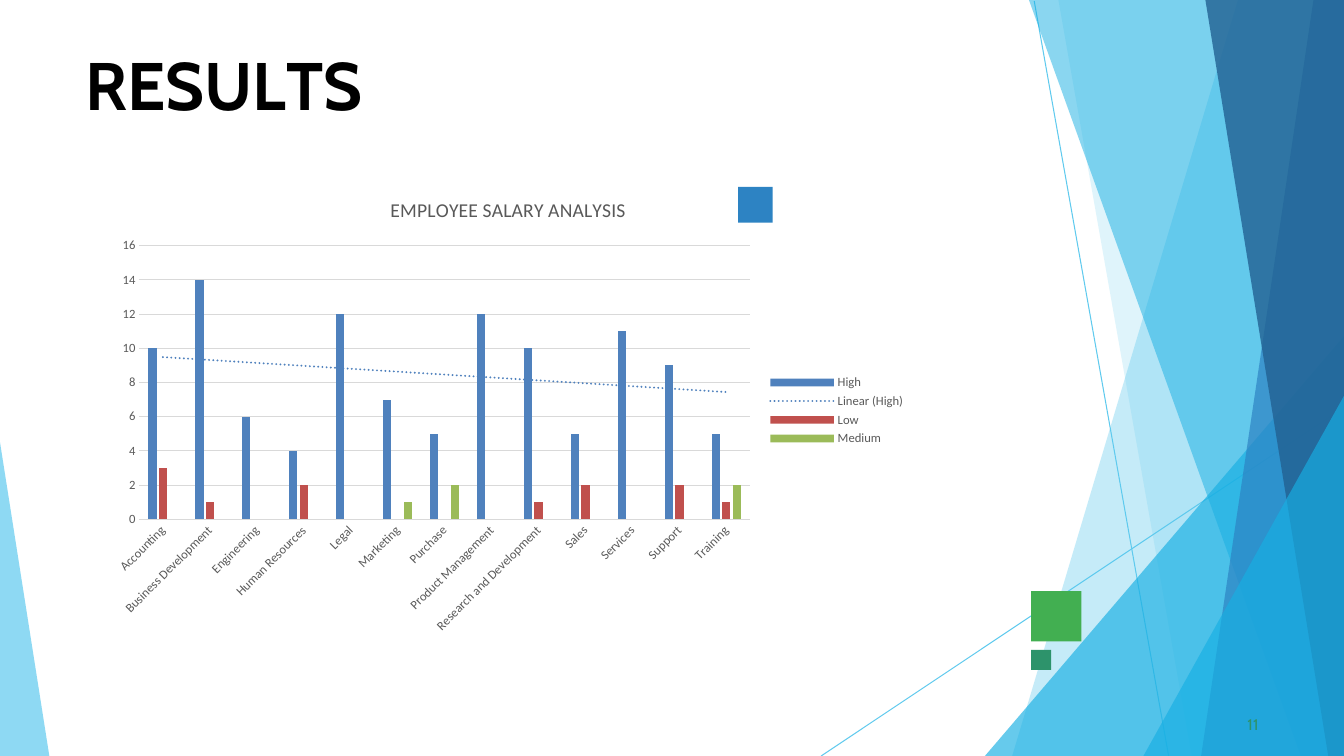
from dataclasses import dataclass

from lxml.etree import SubElement
from pptx import Presentation
from pptx.chart.data import CategoryChartData
from pptx.dml.color import RGBColor
from pptx.enum.chart import XL_CHART_TYPE as ChartType, XL_LEGEND_POSITION as LegendPosition
from pptx.enum.chart import XL_TICK_MARK as TickMark
from pptx.enum.shapes import MSO_CONNECTOR as Connector, MSO_SHAPE as Preset
from pptx.oxml import parse_xml
from pptx.oxml.ns import nsdecls, qn
from pptx.util import Pt

PX = 9525
WIDTH, HEIGHT = 1280, 720


@dataclass(frozen=True)
class Theme:
    sky: str = "5FCAEE"
    cyan: str = "17AFE3"
    blue: str = "2D83C3"
    navy: str = "226192"
    green: str = "42AF51"
    teal: str = "2D936B"
    black: str = "000000"
    label: str = "595959"
    grid: str = "D9D9D9"
    heading_font: str = "Cabin"
    chart_font: str = "Calibri"
    heading_size: int = 48
    page_size: int = 11
    chart_title_size: int = 14
    label_size: int = 9


THEME = Theme()


@dataclass(frozen=True)
class Ray:
    start: tuple[int, int]
    end: tuple[int, int]


@dataclass(frozen=True)
class Facet:
    points: tuple[tuple[int, int], ...]
    color: str
    opacity: int


@dataclass(frozen=True)
class Block:
    box: tuple[int, int, int, int]
    color: str


@dataclass(frozen=True)
class Caption:
    box: tuple[int, int, int, int]
    runs: tuple[tuple[str, int], ...]
    size: int
    color: str
    bold: bool
    indent: int
    space_before: float


@dataclass(frozen=True)
class Level:
    name: str
    color: str
    counts: tuple[int | None, ...]


def right_band(top: int, bottom: int, color: str, opacity: int) -> Facet:
    """Span the full slide height from a slanted left edge to the right side."""
    return Facet(((WIDTH, 0), (top, 0), (bottom, HEIGHT), (WIDTH, HEIGHT)), color, opacity)


def right_corner(top: int, left: int) -> Facet:
    """Fill the bottom right corner below a diagonal."""
    return Facet(((WIDTH, top), (left, HEIGHT), (WIDTH, HEIGHT)), THEME.cyan, 66)


RAYS = (Ray((985, 1), (1113, HEIGHT)), Ray((WIDTH, 388), (782, HEIGHT)))
FACETS = (
    right_band(1179, 964, THEME.sky, 36),
    right_band(1008, 1135, THEME.sky, 20),
    right_corner(320, 938),
    right_band(980, 1239, THEME.cyan, 50),
    right_band(1251, 1144, THEME.blue, 70),
    right_band(1148, 1265, THEME.navy, 80),
    right_corner(377, 1089),
    Facet(((0, 421), (0, HEIGHT), (47, HEIGHT)), THEME.sky, 70),
)
BLOCKS = (
    Block((982, 563, 48, 48), THEME.green),
    Block((703, 178, 33, 34), THEME.blue),
    Block((982, 619, 19, 19), THEME.teal),
)
CAPTIONS = (
    Caption((80, 40, 297, 80),
            (("R", 0), ("E", -40), ("S", 10), ("U", -30), ("L", -400), ("TS", 0)),
            THEME.heading_size, THEME.black, True, 1, 1.1),
    Caption((1184, 680, 24, 20), (("11", 10),), THEME.page_size, THEME.teal, False, 4, 0.6),
)
DEPARTMENTS = (
    "Accounting", "Business Development", "Engineering", "Human Resources", "Legal",
    "Marketing", "Purchase", "Product Management", "Research and Development", "Sales",
    "Services", "Support", "Training",
)
LEVELS = (
    Level("High", "4F81BD", (10, 14, 6, 4, 12, 7, 5, 12, 10, 5, 11, 9, 5)),
    Level("Low", "C0504D",
          (3, 1, None, 2, None, None, None, None, 1, 2, None, 2, 1)),
    Level("Medium", "9BBB59",
          (None, None, None, None, None, 1, 2, None, None, None, None, None, 2)),
)


def rgb(color: str) -> RGBColor:
    """Convert a hex colour."""
    return RGBColor.from_string(color)


def emu(lengths: tuple[int, ...]) -> list[int]:
    """Scale px to EMU."""
    return [length * PX for length in lengths]


def paint(shape, color: str, opacity: int = 100) -> None:
    """Give a shape a flat fill with no outline or shadow."""
    shape.fill.solid()
    shape.fill.fore_color.rgb = rgb(color)
    shape.line.fill.background()
    shape.shadow.inherit = False
    if opacity < 100:
        tint = shape.fill._xPr.find(qn("a:solidFill"))[0]
        SubElement(tint, qn("a:alpha")).set("val", str(opacity * 1000))


def style_font(font, size: int, color: str, family: str, bold: bool = False) -> None:
    """Apply size, family, weight and colour."""
    for name, value in {"size": Pt(size), "name": family, "bold": bold}.items():
        setattr(font, name, value)
    font.color.rgb = rgb(color)


def draw_ray(shapes, ray: Ray) -> None:
    """Draw a thin background line."""
    line = shapes.add_connector(Connector.STRAIGHT, *emu(ray.start + ray.end))
    line.line.color.rgb = rgb(THEME.sky)
    line.line.width = Pt(0.75)
    SubElement(line._element.spPr, qn("a:effectLst"))


def draw_facet(shapes, facet: Facet) -> None:
    """Draw a translucent background polygon."""
    outline = shapes.build_freeform(*facet.points[0], scale=PX)
    outline.add_line_segments(facet.points[1:], close=True)
    paint(outline.convert_to_shape(), facet.color, facet.opacity)


def draw_caption(shapes, caption: Caption) -> None:
    """Write one line of text with its letter spacing."""
    frame = shapes.add_textbox(*emu(caption.box)).text_frame
    margins = {"margin_left": 0, "margin_top": PX, "margin_right": 0, "margin_bottom": 0}
    for name, value in {**margins, "word_wrap": True}.items():
        setattr(frame, name, value)
    paragraph = frame.paragraphs[0]
    paragraph.space_before = Pt(caption.space_before)
    paragraph._p.get_or_add_pPr().set("marL", str(caption.indent * PX))
    for text, spacing in caption.runs:
        run = paragraph.add_run()
        run.text = text
        style_font(run.font, caption.size, caption.color, THEME.heading_font, caption.bold)
        run._r.get_or_add_rPr().set("spc", str(spacing))


def add_trend(series, color: str) -> None:
    """Add a dotted linear trend line to a series."""
    trend = parse_xml(
        f'<c:trendline {nsdecls("c", "a")}><c:spPr><a:ln w="19050" cap="rnd"><a:solidFill>'
        f'<a:srgbClr val="{color}"/></a:solidFill><a:prstDash val="sysDot"/></a:ln></c:spPr>'
        '<c:trendlineType val="linear"/><c:dispRSqr val="0"/><c:dispEq val="0"/></c:trendline>')
    series._element.find(qn("c:cat")).addprevious(trend)


def draw_salaries(shapes) -> None:
    """Draw the clustered columns of salary levels by department."""
    data = CategoryChartData()
    data.categories = DEPARTMENTS
    for level in LEVELS:
        data.add_series(level.name, level.counts)
    box = emu((96, 170, 776, 442))
    chart = shapes.add_chart(ChartType.COLUMN_CLUSTERED, *box, data).chart
    style_font(chart.font, THEME.label_size, THEME.label, THEME.chart_font)
    heading = chart.chart_title.text_frame
    heading.text = "EMPLOYEE SALARY ANALYSIS"
    style_font(heading.paragraphs[0].runs[0].font, THEME.chart_title_size, THEME.label,
               THEME.chart_font)
    chart.has_legend = True
    chart.legend.position = LegendPosition.RIGHT
    chart.legend.include_in_layout = False
    plot = chart.plots[0]
    for name, value in {"gap_width": 219, "overlap": -27, "vary_by_categories": False}.items():
        setattr(plot, name, value)
    for series, level in zip(plot.series, LEVELS):
        series.format.fill.solid()
        series.format.fill.fore_color.rgb = rgb(level.color)
    add_trend(plot.series[0], LEVELS[0].color)
    departments, counts = chart.category_axis, chart.value_axis
    for axis in (departments, counts):
        axis.major_tick_mark = axis.minor_tick_mark = TickMark.NONE
        style_font(axis.tick_labels.font, THEME.label_size, THEME.label, THEME.chart_font)
    departments._element.find(qn("c:txPr")).find(qn("a:bodyPr")).set("rot", "-2700000")
    for name, value in {"minimum_scale": 0, "maximum_scale": 16, "major_unit": 2}.items():
        setattr(counts, name, value)
    counts.format.line.fill.background()
    for line in (departments.format.line, counts.major_gridlines.format.line):
        line.color.rgb = rgb(THEME.grid)
        line.width = Pt(0.75)


def main() -> None:
    """Build and save the results slide."""
    deck = Presentation()
    deck.slide_width, deck.slide_height = emu((WIDTH, HEIGHT))
    shapes = deck.slides.add_slide(deck.slide_layouts[6]).shapes
    for ray in RAYS:
        draw_ray(shapes, ray)
    for facet in FACETS:
        draw_facet(shapes, facet)
    for block in BLOCKS:
        paint(shapes.add_shape(Preset.RECTANGLE, *emu(block.box)), block.color)
    for caption in CAPTIONS:
        draw_caption(shapes, caption)
    draw_salaries(shapes)
    deck.save("out.pptx")


if __name__ == "__main__":
    main()
